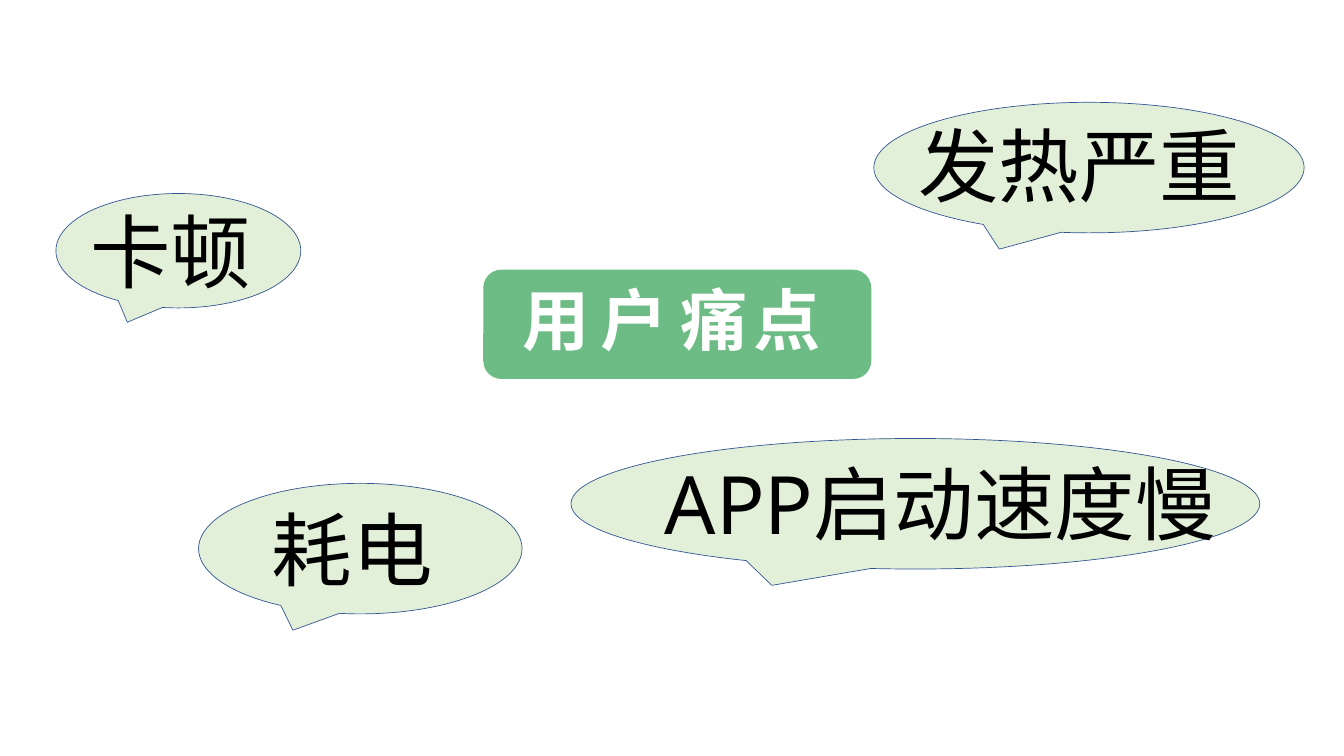
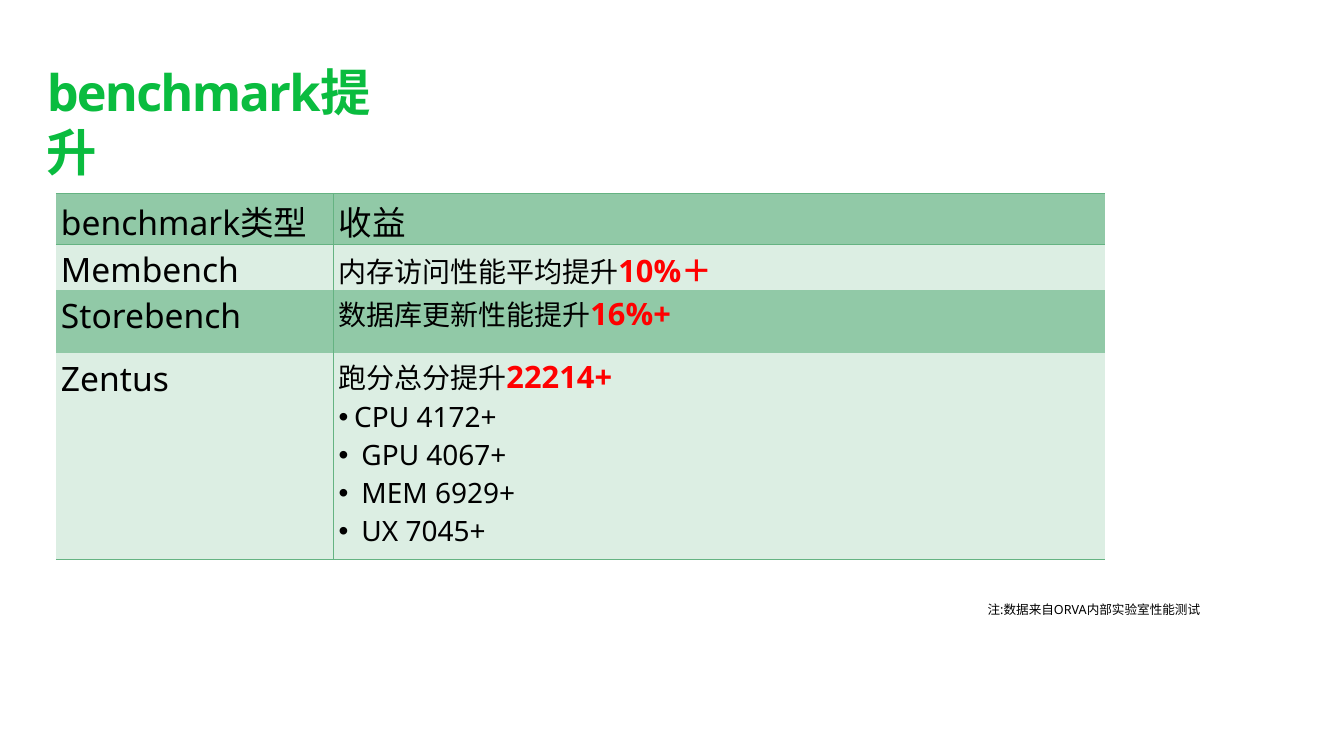
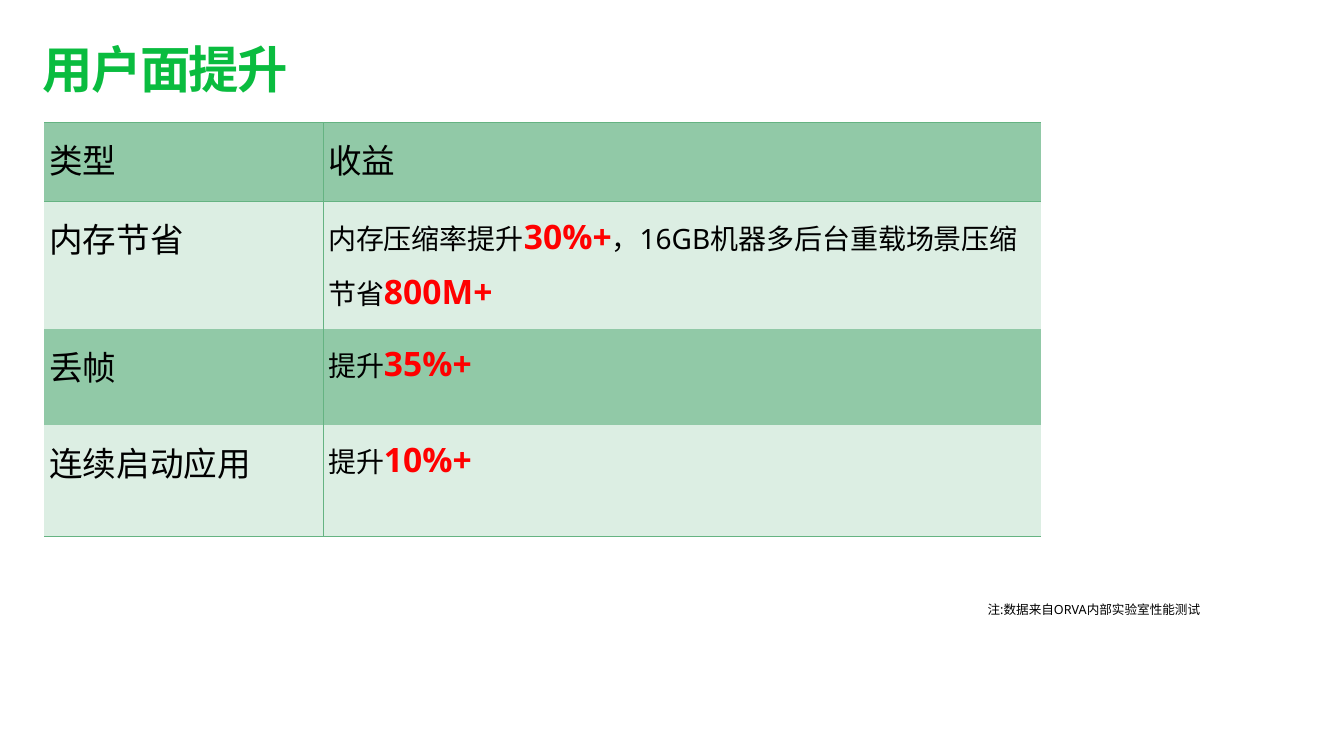
import dataclasses

import pptx
import pptx.dml.color
import pptx.enum.shapes
import pptx.enum.text
import pptx.oxml.ns
import pptx.util
from lxml import etree

EMU_PER_PX = 9144
SLIDE_WIDTH, SLIDE_HEIGHT = 2667, 1500


@dataclasses.dataclass(frozen=True)
class Theme:
    font: str = "Noto Sans"
    black: str = "000000"
    white: str = "FFFFFF"
    title_green: str = "0ABC3F"
    badge_green: str = "6DBC85"
    bubble_fill: str = "E2F0D9"
    bubble_line: str = "325491"
    band_dark: str = "91C9A7"
    band_light: str = "DCEEE3"
    rule: str = "65B382"
    highlight: str = "FF0000"
    bubble_size: int = 115
    badge_size: int = 96
    title_size: int = 72
    label_size: int = 48
    body_size: int = 40
    note_size: int = 18
    line_width: int = 1


THEME = Theme()


def px(length):
    return pptx.util.Emu(length * EMU_PER_PX)


def rgb(color):
    return pptx.dml.color.RGBColor.from_string(color)


def add_element(parent, tag, **attributes):
    return etree.SubElement(parent, pptx.oxml.ns.qn(tag), attributes)


def write_text(paragraph, text, *, size, color=THEME.black, bold=False, tracking=None,
               align=None, line_spacing=None, bullet_indent=None):
    if align is not None:
        paragraph.alignment = align
    if line_spacing is not None:
        paragraph.line_spacing = line_spacing
    if bullet_indent is not None:
        properties = paragraph._p.get_or_add_pPr()
        properties.set("marL", str(px(bullet_indent)))
        properties.set("indent", str(-px(bullet_indent)))
        add_element(properties, "a:buFont", typeface="Arial")
        add_element(properties, "a:buChar", char="•")
    run = paragraph.add_run()
    run.text = text
    run.font.name = THEME.font
    run.font.size = pptx.util.Pt(size)
    run.font.bold = bold
    run.font.color.rgb = rgb(color)
    if tracking is not None:
        run._r.get_or_add_rPr().set("spc", str(round(tracking * 100)))


def add_text_box(slide, box, margins=True):
    frame = slide.shapes.add_textbox(*map(px, box)).text_frame
    frame.word_wrap = True
    if not margins:
        frame.margin_left = frame.margin_right = frame.margin_top = frame.margin_bottom = 0
    return frame.paragraphs[0]


def add_panel(slide, kind, box, fill, line=None):
    shape = slide.shapes.add_shape(kind, *map(px, box))
    shape.shadow.inherit = False
    shape.fill.solid()
    shape.fill.fore_color.rgb = rgb(fill)
    if line:
        shape.line.color.rgb = rgb(line)
        shape.line.width = pptx.util.Pt(THEME.line_width)
    else:
        shape.line.fill.background()


def add_badge(slide, box):
    left, top, _, _ = box
    add_panel(slide, pptx.enum.shapes.MSO_SHAPE.ROUNDED_RECTANGLE, box, THEME.badge_green)
    paragraph = add_text_box(slide, (left + 54, top + 28, 640, 136), margins=False)
    for text, tracking in (("用 户 ", -3.3), ("痛 点", -6.4)):
        write_text(paragraph, text, size=THEME.badge_size, color=THEME.white, bold=True,
                   tracking=tracking, align=pptx.enum.text.PP_ALIGN.CENTER, line_spacing=0.96)


def add_bubble(slide, box, text, text_box, margins=True, line_spacing=None):
    left, top, _, _ = box
    offset_x, offset_y, width, height = text_box
    add_panel(slide, pptx.enum.shapes.MSO_SHAPE.OVAL_CALLOUT, box,
              THEME.bubble_fill, THEME.bubble_line)
    paragraph = add_text_box(slide, (left + offset_x, top + offset_y, width, height), margins)
    write_text(paragraph, text, size=THEME.bubble_size, line_spacing=line_spacing)


def set_borders(cell, visible):
    properties = cell._tc.get_or_add_tcPr()
    for side in "LRTB":
        if side in visible:
            width = pptx.util.Pt(THEME.line_width)
            line = add_element(properties, f"a:ln{side}", w=str(width))
            add_element(add_element(line, "a:solidFill"), "a:srgbClr", val=THEME.rule)
        else:
            add_element(add_element(properties, f"a:ln{side}", w="0"), "a:noFill")


def fill_gain_cell(frame, runs, bullets, highlight_size, line_spacing):
    for index, text in enumerate(runs):
        emphasis = index % 2 == 1
        write_text(frame.paragraphs[0], text, bold=emphasis, line_spacing=line_spacing,
                   size=highlight_size if emphasis else THEME.body_size,
                   color=THEME.highlight if emphasis else THEME.black)
    for text in bullets:
        write_text(frame.add_paragraph(), text, size=THEME.body_size, bullet_indent=31)


def add_gain_table(slide, origin, columns, heights, header, gains, highlight_size,
                   line_spacing=None):
    box = (*origin, sum(columns), sum(heights))
    table = slide.shapes.add_table(len(heights), len(columns), *map(px, box)).table
    for column, width in zip(table.columns, columns):
        column.width = px(width)
    for row, height in zip(table.rows, heights):
        row.height = px(height)
    last = len(heights) - 1
    for row_index in range(len(heights)):
        for column_index in range(len(columns)):
            cell = table.cell(row_index, column_index)
            visible = "R" if column_index == 0 else "L"
            visible += "TB" if row_index == 0 else "B" if row_index == last else ""
            visible += "T" if row_index == 1 else ""
            set_borders(cell, visible)
            cell.fill.solid()
            cell.fill.fore_color.rgb = rgb(THEME.band_light if row_index % 2 else THEME.band_dark)
    labels = [header[0]] + [label for label, _, _ in gains]
    for row_index, label in enumerate(labels):
        write_text(table.cell(row_index, 0).text_frame.paragraphs[0], label,
                   size=THEME.label_size, line_spacing=line_spacing)
    write_text(table.cell(0, 1).text_frame.paragraphs[0], header[1],
               size=THEME.label_size, line_spacing=line_spacing)
    for row_index, (_, runs, bullets) in enumerate(gains, start=1):
        fill_gain_cell(table.cell(row_index, 1).text_frame, runs, bullets,
                       highlight_size, line_spacing)


def add_title(slide, left, top, text):
    write_text(add_text_box(slide, (left, top, 748, 131)), text, size=THEME.title_size,
               color=THEME.title_green, bold=True, tracking=-2.5)


def add_source_note(slide):
    write_text(add_text_box(slide, (1950, 1189, 601, 40)),
               "注:数据来自ORVA内部实验室性能测试", size=THEME.note_size)


def build_pain_points(slide):
    add_badge(slide, (959, 535, 770, 217))
    add_bubble(slide, (111, 384, 486, 227), "卡顿", (58, 12, 357, 204))
    add_bubble(slide, (1734, 203, 854, 259), "发热严重", (78, 23, 759, 204))
    add_bubble(slide, (394, 959, 642, 259), "耗电", (135, 28, 430, 204))
    add_bubble(slide, (1133, 870, 1367, 259), "APP启动速度慢", (186, 0, 1156, 320),
               margins=False, line_spacing=1.16)


def build_benchmark_gains(slide):
    gains = [
        ("Membench", ("内存访问性能平均提升", "10%＋"), ()),
        ("Storebench", ("数据库更新性能提升", "16%+"), ()),
        ("Zentus", ("跑分总分提升", "22214+"),
         ("CPU 4172+", " GPU 4067+", " MEM 6929+", " UX 7045+")),
    ]
    add_gain_table(slide, (111, 384), (551, 1530), (101, 90, 125, 410),
                   ("benchmark类型", "收益"), gains, highlight_size=44)
    add_title(slide, 83, 116, "benchmark提升")
    add_source_note(slide)


def build_user_gains(slide):
    gains = [
        ("内存节省",
         ("内存压缩率提升", "30%+", "，16GB机器多后台重载场景压缩节省", "800M+"), ()),
        ("丢帧", ("提升", "35%+"), ()),
        ("连续启动应用", ("提升", "10%+"), ()),
    ]
    add_gain_table(slide, (88, 243), (553, 1424), (157, 253, 190, 222),
                   ("类型", "收益"), gains, highlight_size=48, line_spacing=1.2)
    add_title(slide, 75, 70, "用户面提升")
    add_source_note(slide)


def main():
    presentation = pptx.Presentation()
    presentation.slide_width = px(SLIDE_WIDTH)
    presentation.slide_height = px(SLIDE_HEIGHT)
    for build in (build_pain_points, build_benchmark_gains, build_user_gains):
        build(presentation.slides.add_slide(presentation.slide_layouts[6]))
    presentation.save("out.pptx")


if __name__ == "__main__":
    main()
